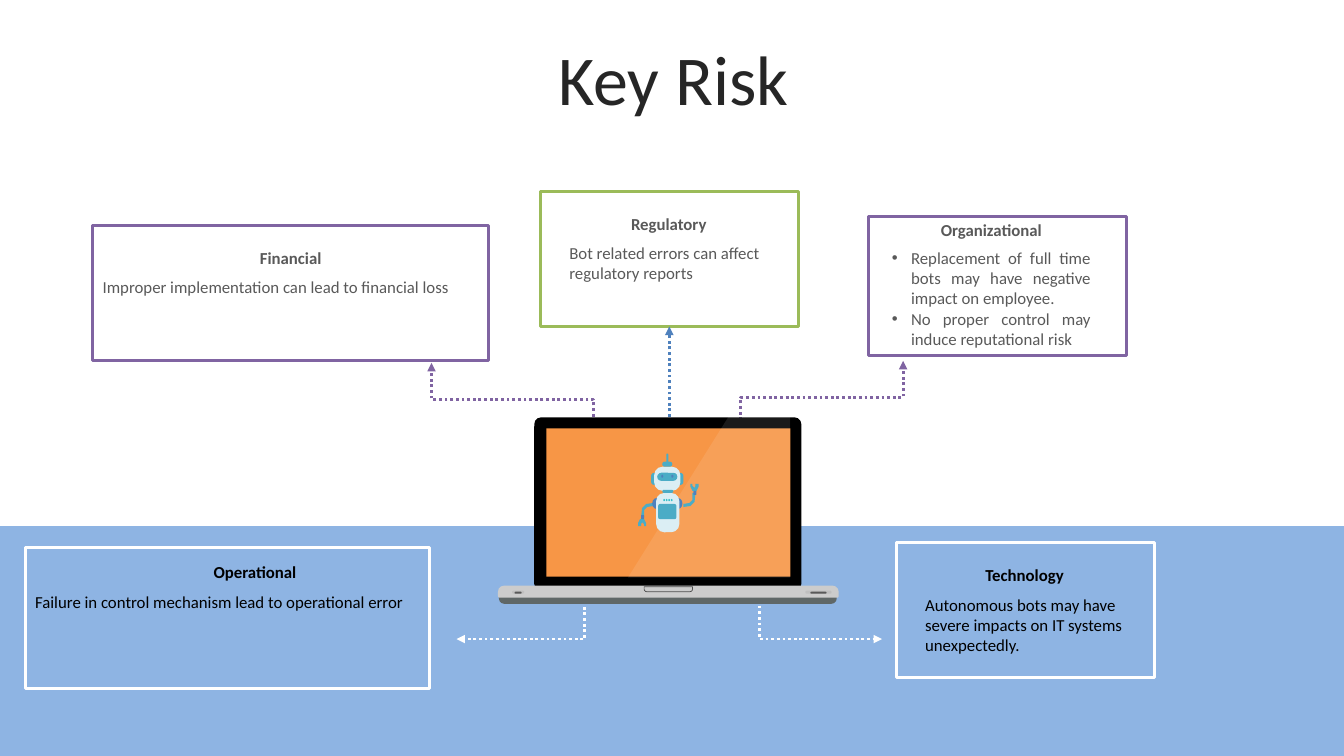
from pptx import Presentation
from pptx import util as u
from pptx.dml.color import RGBColor
from pptx.enum import dml, shapes, text
from pptx.oxml.ns import qn
from lxml import etree

COLORS = {
    "white": "FFFFFF", "black": "000000", "title": "262626", "grey": "595959",
    "purple": "8064A2", "green": "9BBB59", "blue": "4F81BD", "band": "8EB4E3",
    "orange": "F79646", "foot": "5F6767", "deck": "CCCCCC", "notch": "4D4D4D",
    "slot": "BFBFBF", "teal": "4BACC6", "pale": "DBEEF4", "button": "3BC0CB",
}
CELL = u.Inches(0.1)  # one column or row of the grid
COLS, ROWS = 133.33, 75
SH = shapes.MSO_SHAPE
AL = text.PP_ALIGN


def grid(*cells):
    return [u.Emu(round(c * CELL)) for c in cells]


class Deck:
    font, size, stroke = "Calibri", 12, 2

    def __init__(self):
        self.prs = Presentation()
        self.prs.slide_width, self.prs.slide_height = grid(COLS, ROWS)
        self.slide = self.prs.slides.add_slide(self.prs.slide_layouts[5])
        self.shapes = self.slide.shapes

    def group(self):
        """Send the shapes that follow into a new group."""
        self.shapes = self.slide.shapes.add_group_shape().shapes

    def color(self, name):
        return RGBColor.from_string(COLORS[name])

    def paint(self, sp, fill=None, line=None, width=stroke):
        sp.shadow.inherit = False
        if fill:
            sp.fill.solid()
            sp.fill.fore_color.rgb = self.color(fill)
        else:
            sp.fill.background()
        if line:
            sp.line.color.rgb = self.color(line)
            sp.line.width = u.Pt(width)
        else:
            sp.line.fill.background()
        return sp

    def shape(self, kind, box, fill=None, line=None, adj=(), width=stroke):
        sp = self.shapes.add_shape(kind, *grid(*box))
        for i, value in enumerate(adj):
            sp.adjustments[i] = value
        return self.paint(sp, fill, line, width)

    def pill(self, box, fill, adj=0.5):
        return self.shape(SH.ROUNDED_RECTANGLE, box, fill, adj=[adj])

    def polygon(self, points, fill):
        first, *rest = [grid(*pt) for pt in points]
        builder = self.shapes.build_freeform(*first)
        builder.add_line_segments(rest, close=True)
        return self.paint(builder.convert_to_shape(), fill)

    def style(self, p, size, ink, bold, align):
        p.alignment = align
        for r in p.runs:
            r.font.name, r.font.size, r.font.bold = self.font, u.Pt(size), bold
            r.font.color.rgb = self.color(ink)

    def title(self, words, box, size):
        sp = self.slide.shapes.title
        sp.left, sp.top, sp.width, sp.height = grid(*box)
        tf = sp.text_frame
        tf.text = words
        tf.auto_size = text.MSO_AUTO_SIZE.NONE
        tf.vertical_anchor = text.MSO_ANCHOR.MIDDLE
        self.style(tf.paragraphs[0], size, "title", False, AL.CENTER)

    def label(self, words, box, ink, bold=False, align=AL.LEFT, bullets=False):
        tf = self.shapes.add_textbox(*grid(*box)).text_frame
        tf.word_wrap = True
        tf.text = words
        for p in tf.paragraphs:
            if bullets:
                pPr = p._p.get_or_add_pPr()
                indent = grid(1.9)[0]
                pPr.set("marL", str(indent))
                pPr.set("indent", str(-indent))
                etree.SubElement(pPr, qn("a:buFont")).set("typeface", "Arial")
                etree.SubElement(pPr, qn("a:buChar")).set("char", "•")
            self.style(p, self.size, ink, bold, align)

    def arrow(self, start, end, ink, bend=None, upward=False):
        """Dotted arrow; bend is the share of its length before the elbow."""
        (x1, y1), (x2, y2) = start, end
        if upward:  # the elbow is laid out sideways, then turned
            cx, cy, dx, dy = (x1 + x2) / 2, (y1 + y2) / 2, x2 - x1, y1 - y2
            x1, x2, y1, y2 = cx - dy / 2, cx + dy / 2, cy - dx / 2, cy + dx / 2
        kind = shapes.MSO_CONNECTOR.STRAIGHT if bend is None else shapes.MSO_CONNECTOR.ELBOW
        cxn = self.shapes.add_connector(kind, *grid(x1, y1, x2, y2))
        spPr = cxn._element.spPr
        if upward:
            spPr.find(qn("a:xfrm")).set("rot", str(270 * 60000))
        if bend is not None:
            guide = etree.SubElement(spPr.find(qn("a:prstGeom")).find(qn("a:avLst")), qn("a:gd"))
            guide.set("name", "adj1")
            guide.set("fmla", f"val {round(bend * 100000)}")
        cxn.line.color.rgb = self.color(ink)
        cxn.line.width = u.Pt(self.stroke)
        cxn.line.dash_style = dml.MSO_LINE.ROUND_DOT
        etree.SubElement(spPr.find(qn("a:ln")), qn("a:tailEnd")).set("type", "triangle")
        etree.SubElement(spPr, qn("a:effectLst"))


def draw_cards(s):
    # frame, line, fill, ink, (heading, box, alignment), (body, box)
    cards = [
        ((53.6, 19, 25.6, 13.4), "green", "white", "grey",
         ("Regulatory", (55.5, 20.7, 21.7, 3), AL.CENTER),
         ("Bot related errors can affect regulatory reports", (55.5, 23.6, 21.7, 5))),
        ((86.2, 21.5, 25.6, 13.8), "purple", "white", "grey",
         ("Organizational", (87.5, 21.3, 21.7, 2.8), AL.CENTER),
         ("Replacement of full time bots may have negative impact on employee.\n"
          "No proper control may induce reputational risk", (87.5, 24.1, 21.7, 11.1))),
        ((9.2, 22.4, 39.3, 13.4), "purple", "white", "grey",
         ("Financial", (24.8, 24.1, 21.7, 3), AL.LEFT),
         ("Improper implementation can lead to financial loss", (9.2, 27, 37.4, 3))),
        ((2.5, 54.3, 40.1, 14), "white", None, "black",
         ("Operational", (20.2, 55.2, 21.7, 3), AL.LEFT),
         ("Failure in control mechanism lead to operational error", (2.5, 58.2, 39.5, 3))),
        ((88.9, 53.8, 25.6, 13.4), "white", None, "black",
         ("Technology", (90.8, 55.5, 21.7, 3), AL.CENTER),
         ("Autonomous bots may have severe impacts on IT systems unexpectedly.",
          (90.8, 58.5, 21.7, 7.1))),
    ]
    for frame, line, fill, ink, (heading, head_box, align), (body, body_box) in cards:
        s.shape(SH.RECTANGLE, frame, fill, line)
        listed = "\n" in body
        s.label(body, body_box, ink, align=AL.JUSTIFY if listed else AL.LEFT, bullets=listed)
        s.label(heading, head_box, ink, bold=True, align=align)


def draw_laptop(s):
    s.group()
    s.shape(SH.ROUND_2_SAME_RECTANGLE, (49.5, 58.9, 33.5, 1), "foot", adj=[0, 0.5])
    s.pill((53, 41.4, 26.5, 17.2), "black", 0.04)
    s.shape(SH.RECTANGLE, (54.2, 42.5, 24.2, 14.7), "orange")
    s.shape(SH.ROUND_2_SAME_RECTANGLE, (49.4, 58.1, 33.8, 1.2), "deck", adj=[0.5, 0.15])
    s.shape(SH.ROUND_2_SAME_RECTANGLE, (63.9, 58.2, 4.8, 0.5), None, "notch", [0, 0.5], 0.5)
    for x, w, inset in ((50.8, 1.2, 0.25), (79.9, 2.6, 0.5)):
        s.pill((x, 58.6, w, 0.3), "slot")
        s.pill((x + inset, 58.7, w - 2 * inset, 0.2), "grey")
    shine = s.polygon([(72.3, 41.3), (78.4, 41.3), (78.4, 57.3), (62.3, 57.3)], "white")
    fill = shine._element.spPr.find(qn("a:solidFill"))
    etree.SubElement(fill[0], qn("a:alpha")).set("val", "10000")


def draw_robot(s):
    s.group()
    # The right arm is the left one turned half round
    arm = [(64.8, 49.9), (64.1, 50), (63.7, 50.4), (63.6, 51.3),
           (63.9, 51.3), (63.9, 50.6), (64.2, 50.3), (64.8, 50.2)]
    claw = [(63.3, 52.2), (63.3, 51.9), (63.5, 51.5), (63.9, 51.5), (64.1, 51.9), (64.1, 52.2),
            (63.9, 52.2), (63.9, 52), (63.7, 51.8), (63.6, 52), (63.6, 52.2)]
    for limb in (arm, claw):
        s.polygon(limb, "teal")
        s.polygon([(132.6 - x, 100.2 - y) for x, y in limb], "teal")
    for x, y in ((63.6, 51.1), (68.8, 48.7)):
        s.pill((x, y, 0.3, 0.4), "blue", 0.2)
    for x in (64.7, 66.8):
        s.shape(SH.OVAL, (x, 49.4, 0.9, 1.1), "blue")
    # Body, head and antenna
    s.pill((65.1, 48.9, 2.3, 3.9), "pale", 0.35)
    for x in (64.6, 67.2):
        s.pill((x, 46.9, 0.6, 1.2), "teal")
    s.pill((64.9, 46.3, 2.6, 2.4), "pale", 0.35)
    s.pill((65.7, 45.8, 1, 0.5), "teal")
    s.pill((66.1, 45, 0.2, 0.9), "teal")
    # Buttons, visor, eyes, neck and chest
    for i in range(4):
        s.shape(SH.OVAL, (65.8 + 0.25 * i, 49.5, 0.17, 0.23), "button")
    s.pill((65.2, 46.9, 2, 0.8), "teal")
    for x in (65.6, 66.6):
        s.shape(SH.OVAL, (x, 47.1, 0.2, 0.3), "blue")
    s.pill((65.7, 48.6, 1.1, 0.3), "teal")
    s.pill((65.3, 50, 1.8, 1.5), "teal", 0.12)


def main():
    s = Deck()
    s.title("Key Risk", (3.5, 3.7, 126.6, 7.9), 50)
    s.shape(SH.RECTANGLE, (0, 52.2, COLS, ROWS - 52.2), "band")
    draw_cards(s)
    # Arrows from the laptop to the cards
    s.arrow((73.5, 45.6), (89.6, 35.8), "purple", 0.63, upward=True)
    s.arrow((58.9, 45.8), (42.8, 36), "purple", 0.63, upward=True)
    s.arrow((66.4, 43.6), (66.4, 32.4), "blue")
    s.arrow((57.9, 59.2), (45.3, 63.4), "white", -0.01)
    s.arrow((75.6, 59.2), (87.5, 63.4), "white", -0.02)
    draw_laptop(s)
    draw_robot(s)
    s.prs.save("out.pptx")


if __name__ == "__main__":
    main()
